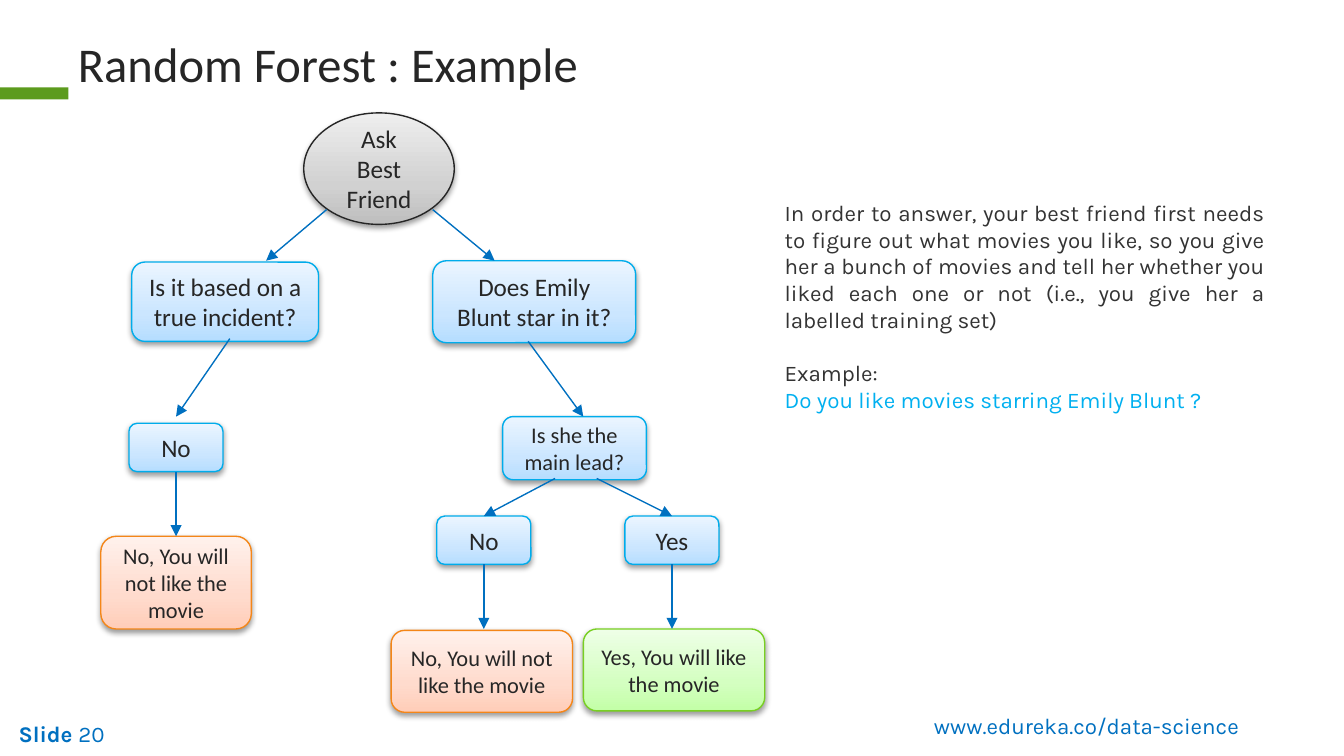
import pptx
import pptx.dml.color
import pptx.enum.dml
import pptx.enum.shapes
import pptx.enum.text
import pptx.oxml
import pptx.oxml.ns
import pptx.util
from lxml import etree

Inches = pptx.util.Inches
Pt = pptx.util.Pt
RGBColor = pptx.dml.color.RGBColor
ALIGN = pptx.enum.text.PP_ALIGN
ANCHOR = pptx.enum.text.MSO_ANCHOR
SHAPE = pptx.enum.shapes.MSO_SHAPE
qn = pptx.oxml.ns.qn

INK = RGBColor(0x26, 0x26, 0x26)
BODY = RGBColor(0x33, 0x33, 0x33)
BLUE = RGBColor(0x00, 0x70, 0xC0)
SKY = RGBColor(0x00, 0xB0, 0xF0)
GREEN = RGBColor(0x5C, 0x9B, 0x1D)

# Node styles: outline, then gradient colours from bottom to top
START = (RGBColor(0x25, 0x25, 0x25), ("BEBEBE", "D1D1D1", "EEEEEE"))
QUESTION = (RGBColor(0x00, 0xAC, 0xEB), ("B5DDFF", "CBE6FF", "EBF5FF"))
DISLIKE = (RGBColor(0xF4, 0x86, 0x18), ("FFCDB8", "FFDBCD", "FFF1EC"))
LIKE = (RGBColor(0x78, 0xCF, 0x22), ("C3FFA7", "D4FFC1", "EEFFE7"))
STOPS = (0, 35, 100)

SHADOW = (
    '<a:outerShdw xmlns:a="http://schemas.openxmlformats.org/drawingml/2006/main"'
    ' blurRad="39370" dist="20320" dir="5400000" rotWithShape="0">'
    '<a:srgbClr val="000000"><a:alpha val="38000"/></a:srgbClr></a:outerShdw>'
)


def add_run(paragraph, text, size, font, color, bold=False):
    run = paragraph.add_run()
    run.text = text
    run.font.size = Pt(size)
    run.font.name = font
    run.font.bold = bold
    run.font.color.rgb = color


def add_text(slide, box, paragraphs, align=ALIGN.LEFT):
    """Each paragraph is (space before, [(text, colour, bold), ...])."""
    frame = slide.shapes.add_textbox(*map(Inches, box)).text_frame
    frame.word_wrap = True
    frame.auto_size = pptx.enum.text.MSO_AUTO_SIZE.SHAPE_TO_FIT_TEXT
    for index, (space, runs) in enumerate(paragraphs):
        paragraph = frame.add_paragraph() if index else frame.paragraphs[0]
        paragraph.alignment = align
        if space:
            paragraph.space_before = Pt(space)
        for text, color, bold in runs:
            add_run(paragraph, text, 12, "Karla", color, bold)


def set_gradient(shape, colors):
    shape.fill.gradient()
    shape.fill.gradient_angle = 90
    stops = shape._element.spPr.find(qn("a:gradFill")).find(qn("a:gsLst"))
    for stop in list(stops):
        stops.remove(stop)
    for position, color in zip(STOPS, colors):
        stop = etree.SubElement(stops, qn("a:gs"), pos=str(position * 1000))
        etree.SubElement(stop, qn("a:srgbClr"), val=color)


def add_node(slide, box, lines, style, size=13.5, preset=SHAPE.ROUNDED_RECTANGLE):
    outline, colors = style
    node = slide.shapes.add_shape(preset, *map(Inches, box))
    set_gradient(node, colors)
    node.line.color.rgb = outline
    node.line.width = Pt(0.75)
    node.shadow.inherit = False
    effects = node._element.spPr.find(qn("a:effectLst"))
    effects.append(pptx.oxml.parse_xml(SHADOW))
    frame = node.text_frame
    frame.word_wrap = True
    frame.vertical_anchor = ANCHOR.MIDDLE
    frame.margin_left = frame.margin_right = Inches(0.09)
    for index, line in enumerate(lines):
        paragraph = frame.add_paragraph() if index else frame.paragraphs[0]
        paragraph.alignment = ALIGN.CENTER
        add_run(paragraph, line, size, "Calibri", INK)
    return node


def add_arrow(slide, start, end, source=None, target=None):
    """Arrow from start to end, joined to source's bottom and target's top."""
    arrow = slide.shapes.add_connector(
        pptx.enum.shapes.MSO_CONNECTOR.STRAIGHT, *map(Inches, start + end))
    arrow.line.color.rgb = BLUE
    arrow.line.width = Pt(0.75)
    properties = arrow._element.spPr
    etree.SubElement(properties.get_or_add_ln(), qn("a:tailEnd"), type="triangle")
    etree.SubElement(properties, qn("a:effectLst"))
    if source is not None:
        arrow.begin_connect(source, 2)
    if target is not None:
        arrow.end_connect(target, 0)


def add_frame(slide):
    # Accent bar, slide number and web address
    bar = slide.shapes.add_shape(
        SHAPE.RECTANGLE, *map(Inches, (0, 0.65, 0.51, 0.09)))
    bar.fill.solid()
    bar.fill.fore_color.rgb = GREEN
    bar.line.fill.background()
    bar.shadow.inherit = False
    add_text(slide, (0.04, 5.31, 1.58, 0.3),
             [(0, [("Slide ", BLUE, True), ("20", BLUE, False)])])
    add_text(slide, (6.15, 5.25, 3.87, 0.3),
             [(0, [("www.edureka.co/data-science", BLUE, False)])], ALIGN.CENTER)


def add_title(slide, text):
    title = slide.shapes.title
    title.left, title.top, title.width, title.height = map(
        Inches, (0.48, 0.2, 9.19, 0.56))
    title.text_frame.vertical_anchor = ANCHOR.TOP
    paragraph = title.text_frame.paragraphs[0]
    paragraph.alignment = ALIGN.LEFT
    add_run(paragraph, text, 26, "Calibri", INK)


def add_explanation(slide):
    add_text(slide, (5.74, 1.43, 3.77, 1.92), [
        (0, [("In order to answer, your best friend first needs to figure out "
              "what movies you like, so you give her a bunch of movies and tell "
              "her whether you liked each one or not (i.e., you give her a "
              "labelled training set)", BODY, False)]),
        (14, [("Example:", BODY, False)]),
        (0, [("Do you like movies starring Emily Blunt ?", SKY, False)]),
    ], ALIGN.JUSTIFY)


def add_tree(slide):
    # Root and questions
    add_node(slide, (2.26, 0.84, 1.12, 0.83), ["Ask", "Best Friend"], START,
             preset=SHAPE.OVAL)
    add_node(slide, (0.98, 1.95, 1.39, 0.59),
             ["Is it based on a true incident?"], QUESTION)
    add_node(slide, (3.22, 1.94, 1.51, 0.61),
             ["Does Emily Blunt star in it?"], QUESTION)
    add_node(slide, (3.74, 3.1, 1.07, 0.47), ["Is she the main lead?"], QUESTION, 12)

    # Answers
    not_true, not_lead, is_lead = [
        add_node(slide, (left, top, 0.7, 0.36), [answer], QUESTION)
        for left, top, answer in
        ((0.96, 3.15, "No"), (3.25, 3.84, "No"), (4.65, 3.84, "Yes"))]

    # Outcomes
    dislike = ["No, You will not like the movie"]
    dull = add_node(slide, (0.75, 3.99, 1.12, 0.69), dislike, DISLIKE, 12)
    add_node(slide, (2.91, 4.69, 1.35, 0.61), dislike, DISLIKE, 12)
    add_node(slide, (4.34, 4.68, 1.35, 0.61),
             ["Yes, You will like the movie"], LIKE, 12)

    # Branches
    add_arrow(slide, (2.43, 1.56), (1.98, 1.94))
    add_arrow(slide, (3.22, 1.56), (3.68, 1.94))
    add_arrow(slide, (1.71, 2.52), (1.31, 3.1))
    add_arrow(slide, (3.93, 2.54), (4.34, 3.1))
    add_arrow(slide, (1.31, 3.51), (1.31, 3.99), not_true, dull)
    add_arrow(slide, (4.13, 3.56), (3.6, 3.84), target=not_lead)
    add_arrow(slide, (4.44, 3.56), (5, 3.84), target=is_lead)
    add_arrow(slide, (3.6, 4.2), (3.6, 4.68), not_lead)
    add_arrow(slide, (5, 4.2), (5, 4.68), is_lead)


def main():
    deck = pptx.Presentation()
    # Widescreen, 16:9
    deck.slide_width = Inches(10)
    deck.slide_height = Inches(10 * 9 / 16)
    slide = deck.slides.add_slide(deck.slide_layouts[5])
    add_frame(slide)
    add_title(slide, "Random Forest : Example")
    add_explanation(slide)
    add_tree(slide)
    deck.save("out.pptx")


if __name__ == "__main__":
    main()
